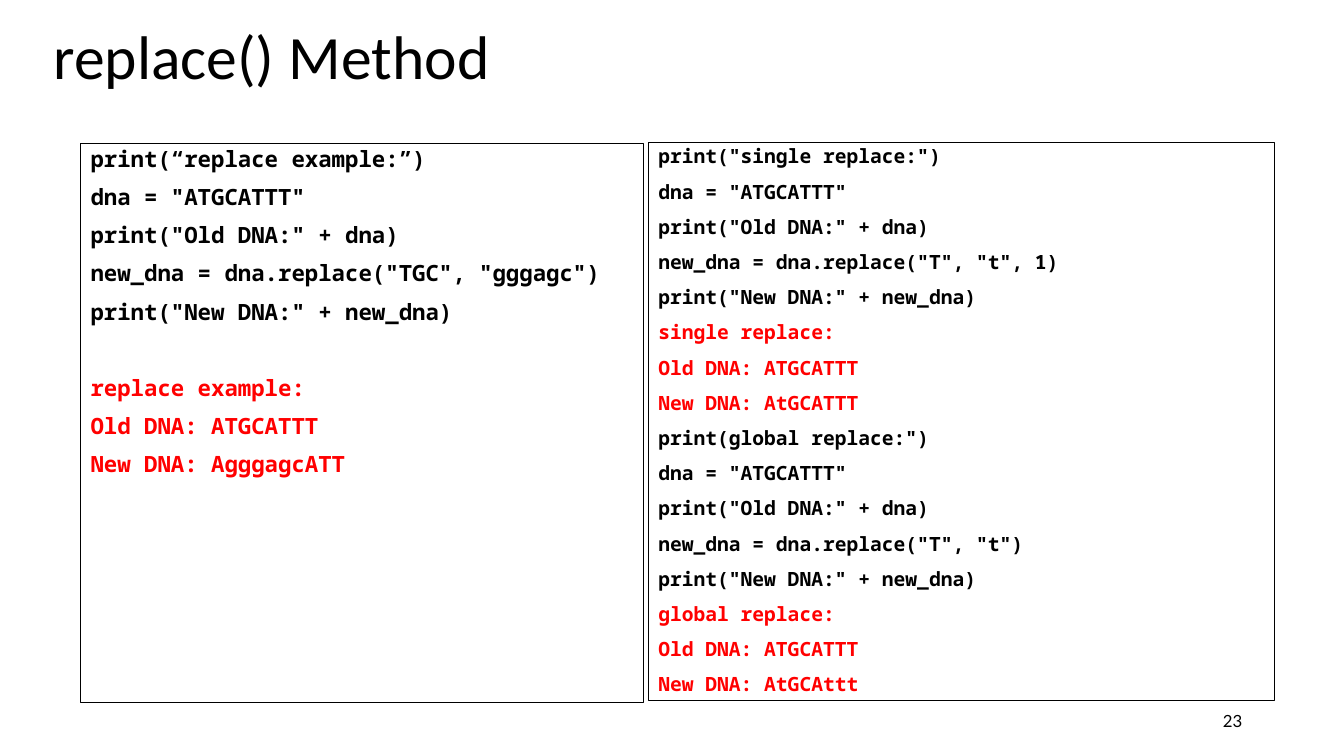
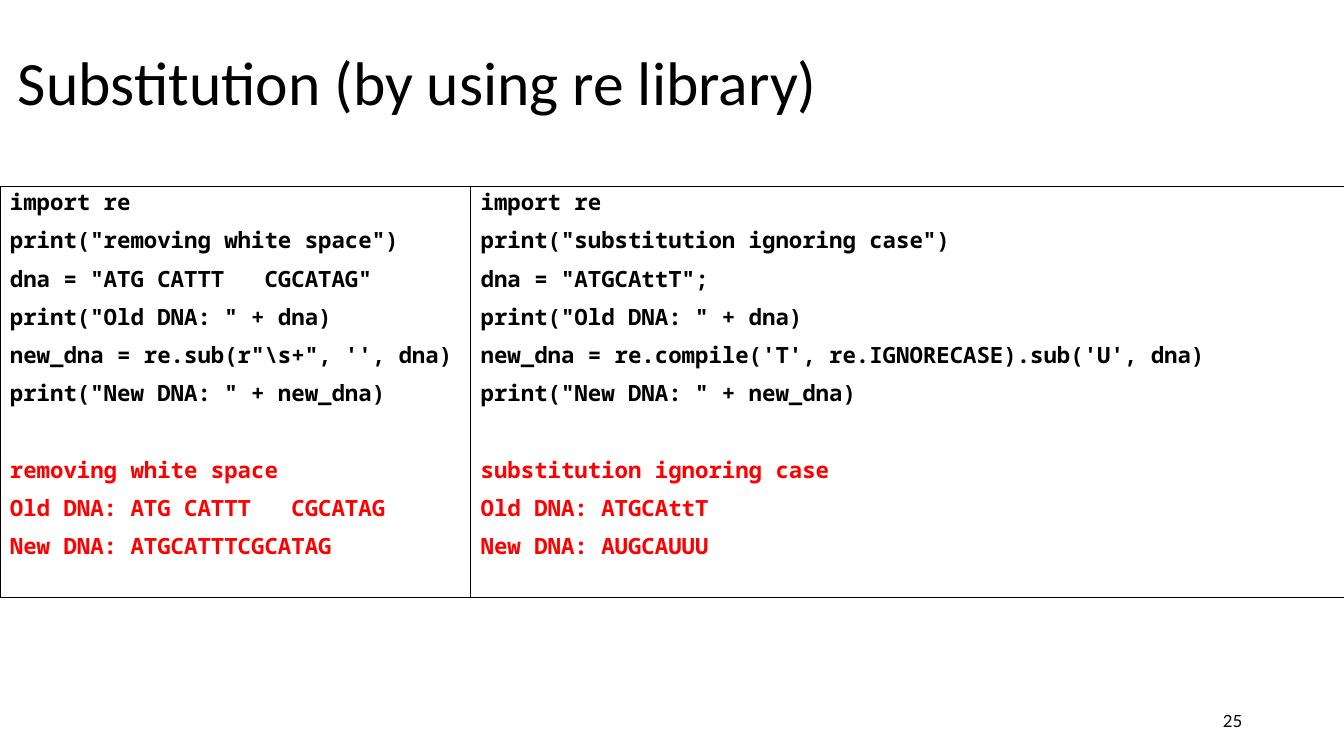
from pptx import Presentation
from pptx import util as u
from pptx.dml.color import RGBColor
from pptx.enum import shapes, text

BLACK = RGBColor(0x00, 0x00, 0x00)
RED = RGBColor(0xFF, 0x00, 0x00)
TITLE_FONT, CODE_FONT, NUMBER_FONT = "Calibri", "Noto Sans Mono", "Lato"
LINE_SPACING = 0.9
CODE_GAP = 10  # points before each line of code
HANGING = u.Inches(0.25)

deck = Presentation()
deck.slide_width, deck.slide_height = u.Inches(13.33), u.Inches(7.5)

# Boxes are (left, top, width, height) in percent of the slide
TITLE_SIZE = (86.27, 19.33)
NUMBER_BOX = (70.67, 92.67, 22.51, 5.33)


def place(box):
    sides = (deck.slide_width, deck.slide_height) * 2
    return [round(side * share / 100) for side, share in zip(sides, box)]


def set_font(paragraph, name, size, color=BLACK, bold=False):
    font = paragraph.font
    font.name, font.size, font.bold = name, u.Pt(size), bold
    font.color.rgb = color


def add_label(slide, box, words, font, size):
    """One line of text, centred vertically in its box."""
    frame = slide.shapes.add_textbox(*place(box)).text_frame
    frame.word_wrap = True
    frame.vertical_anchor = text.MSO_ANCHOR.MIDDLE
    label = frame.paragraphs[0]
    label.text = words
    set_font(label, font, size)
    return label


def add_code_panel(slide, box, blocks, size=16, block_gap=CODE_GAP):
    """Outlined panel in which code (black) and its output (red) alternate."""
    panel = slide.shapes.add_shape(shapes.MSO_SHAPE.RECTANGLE, *place(box))
    panel.shadow.inherit = False
    panel.fill.background()
    panel.line.color.rgb = BLACK
    panel.line.width = u.Pt(0.75)
    frame = panel.text_frame
    frame.word_wrap = True
    frame.vertical_anchor = text.MSO_ANCHOR.TOP

    line = None
    for index, block in enumerate(blocks):
        for row, code in enumerate(block.strip().splitlines()):
            line = frame.add_paragraph() if line else frame.paragraphs[0]
            line.text = code
            line.alignment = text.PP_ALIGN.LEFT
            line.line_spacing = LINE_SPACING
            line.space_before = u.Pt(block_gap if index and row == 0 else CODE_GAP)
            set_font(line, CODE_FONT, size, RED if index % 2 else BLACK, bold=True)
            properties = line._p.get_or_add_pPr()
            properties.set("marL", str(HANGING))
            properties.set("indent", str(-HANGING))


def add_code_slide(title, title_corner, number, panels):
    slide = deck.slides.add_slide(deck.slide_layouts[6])
    add_label(slide, NUMBER_BOX, number, NUMBER_FONT, 12).alignment = text.PP_ALIGN.RIGHT
    heading = add_label(slide, title_corner + TITLE_SIZE, title, TITLE_FONT, 44)
    heading.line_spacing = LINE_SPACING
    for panel in panels:
        add_code_panel(slide, **panel)


OUTPUT_GAP = 37.3  # one empty line between code and output

# String method
REPLACE_CODE = '''
print(“replace example:”)
dna = "ATGCATTT"
print("Old DNA:" + dna)
new_dna = dna.replace("TGC", "gggagc")
print("New DNA:" + new_dna)
'''
REPLACE_OUTPUT = '''
replace example:
Old DNA: ATGCATTT
New DNA: AgggagcATT
'''
SINGLE_CODE = '''
print("single replace:")
dna = "ATGCATTT"
print("Old DNA:" + dna)
new_dna = dna.replace("T", "t", 1)
print("New DNA:" + new_dna)
'''
SINGLE_OUTPUT = '''
single replace:
Old DNA: ATGCATTT
New DNA: AtGCATTT
'''
GLOBAL_CODE = '''
print(global replace:")
dna = "ATGCATTT"
print("Old DNA:" + dna)
new_dna = dna.replace("T", "t")
print("New DNA:" + new_dna)
'''
GLOBAL_OUTPUT = '''
global replace:
Old DNA: ATGCATTT
New DNA: AtGCAttt
'''
add_code_slide("replace() Method", (3.23, -1.73), "23", [
    dict(box=(6, 18.93, 41.86, 74), blocks=[REPLACE_CODE, REPLACE_OUTPUT],
         block_gap=OUTPUT_GAP),
    dict(box=(48.24, 18.8, 46.59, 73.87), size=14,
         blocks=[SINGLE_CODE, SINGLE_OUTPUT, GLOBAL_CODE, GLOBAL_OUTPUT]),
])

# Regular expressions
SPACE_CODE = r'''
import re
print("removing white space")
dna = "ATG CATTT   CGCATAG"
print("Old DNA: " + dna)
new_dna = re.sub(r"\s+", '', dna)
print("New DNA: " + new_dna)
'''
SPACE_OUTPUT = '''
removing white space
Old DNA: ATG CATTT   CGCATAG
New DNA: ATGCATTTCGCATAG
'''
CASE_CODE = '''
import re
print("substitution ignoring case")
dna = "ATGCAttT";
print("Old DNA: " + dna)
new_dna = re.compile('T', re.IGNORECASE).sub('U', dna)
print("New DNA: " + new_dna)
'''
CASE_OUTPUT = '''
substitution ignoring case
Old DNA: ATGCAttT
New DNA: AUGCAUUU
'''
SPLIT, TOP, HEIGHT = 35.03, 24.67, 54.4
add_code_slide("Substitution (by using re library)", (0.6, 1.6), "25", [
    dict(box=(0, TOP, SPLIT, HEIGHT), blocks=[SPACE_CODE, SPACE_OUTPUT],
         block_gap=OUTPUT_GAP),
    dict(box=(SPLIT, TOP, 66.92, HEIGHT), blocks=[CASE_CODE, CASE_OUTPUT],
         block_gap=OUTPUT_GAP),
])

deck.save("out.pptx")
